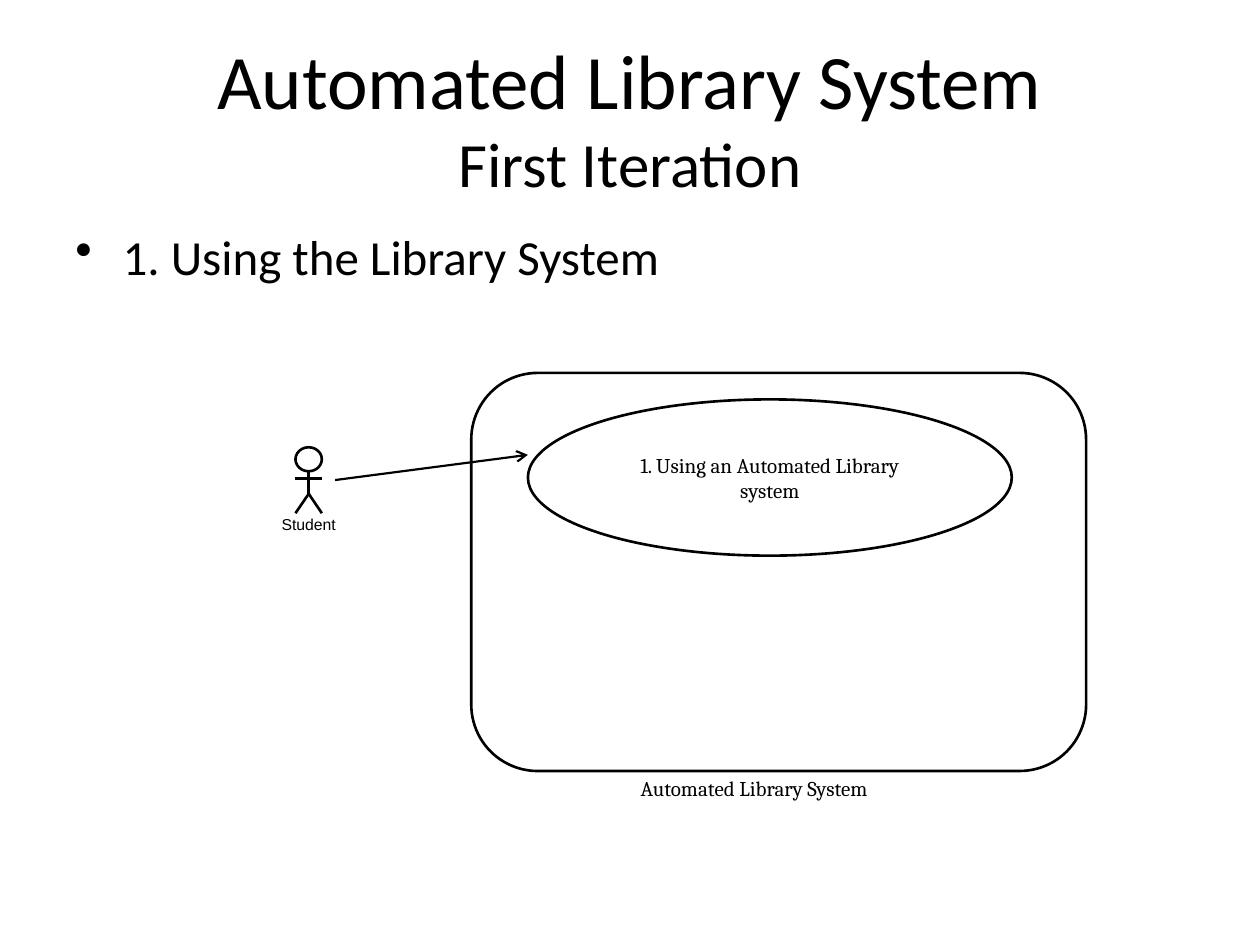
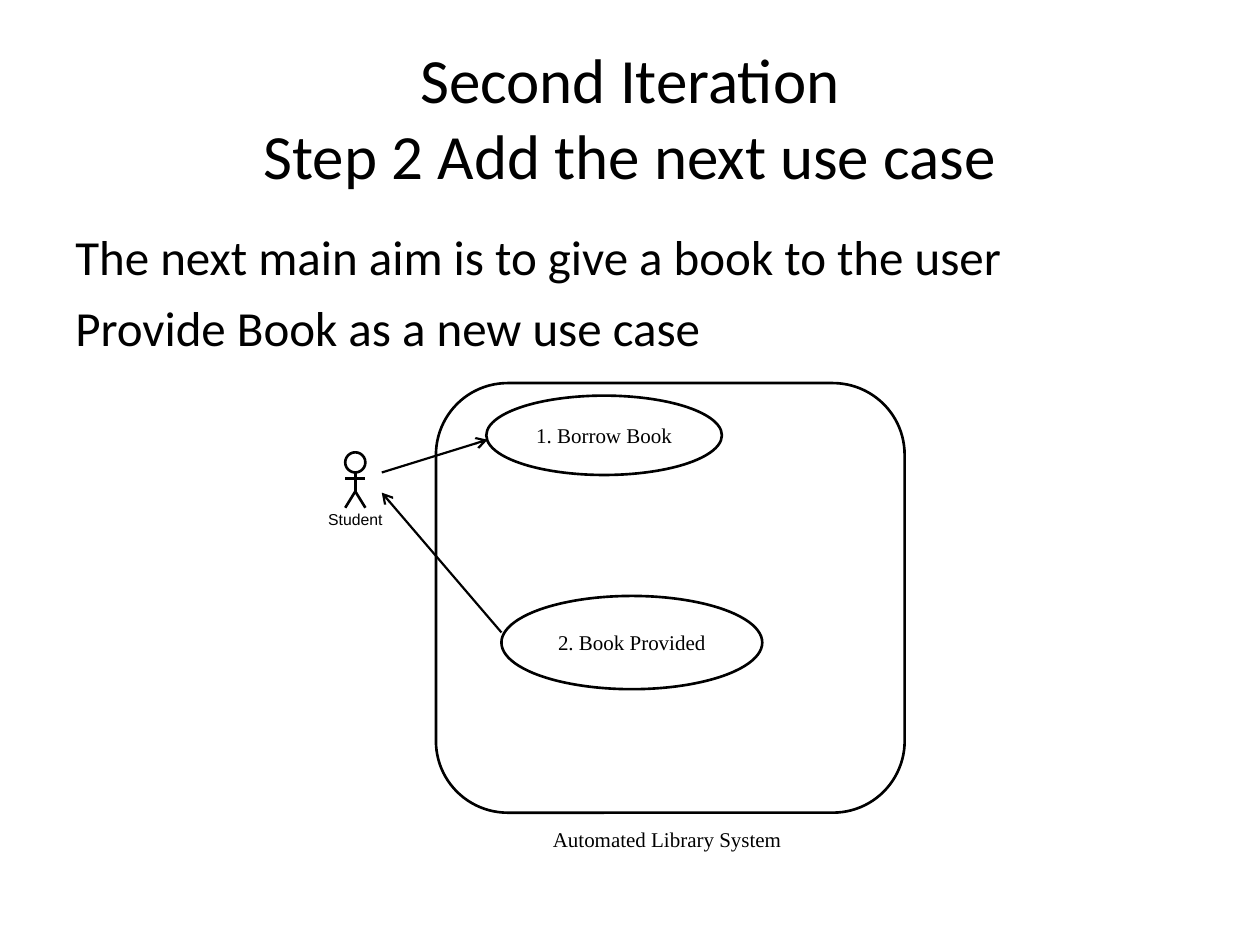
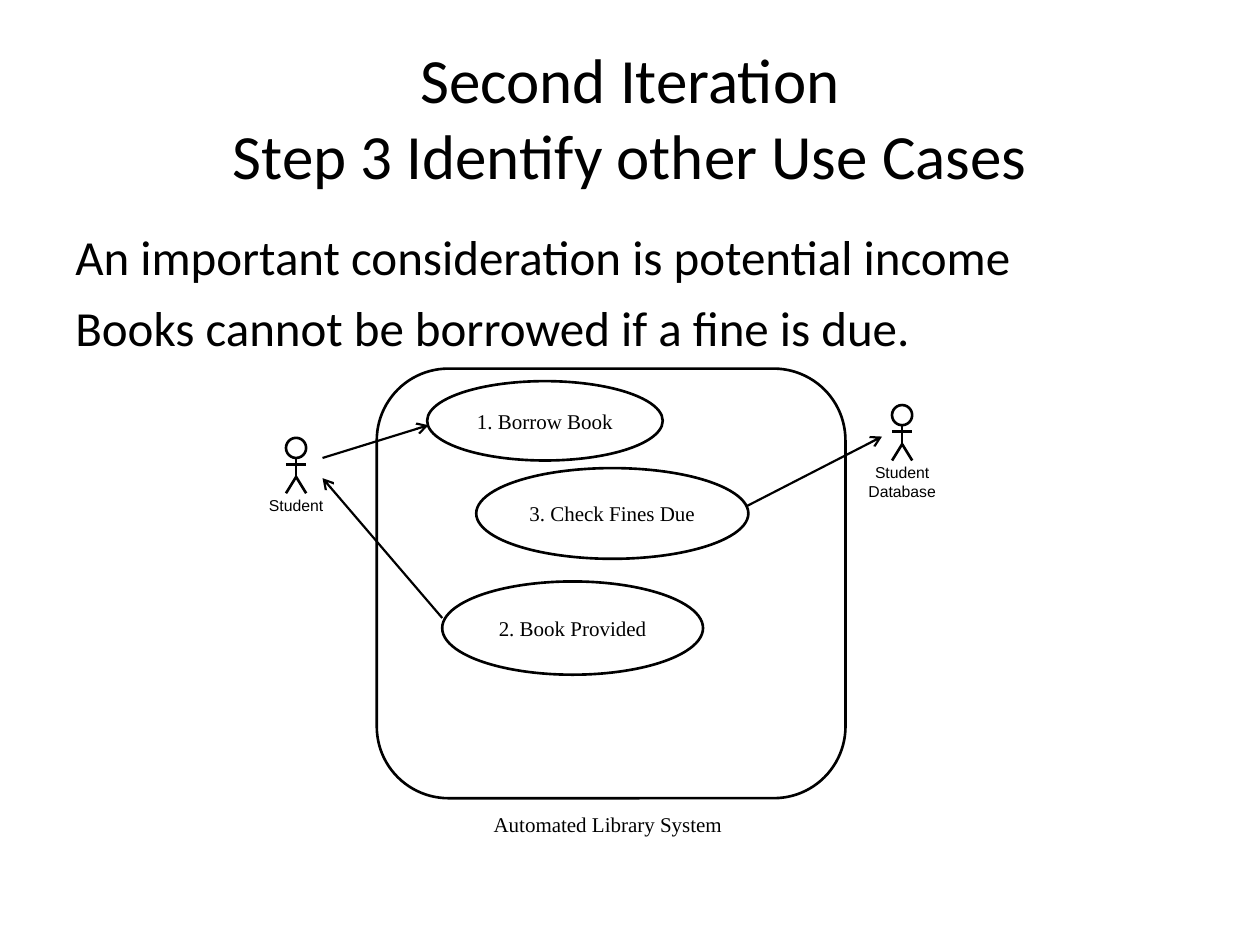
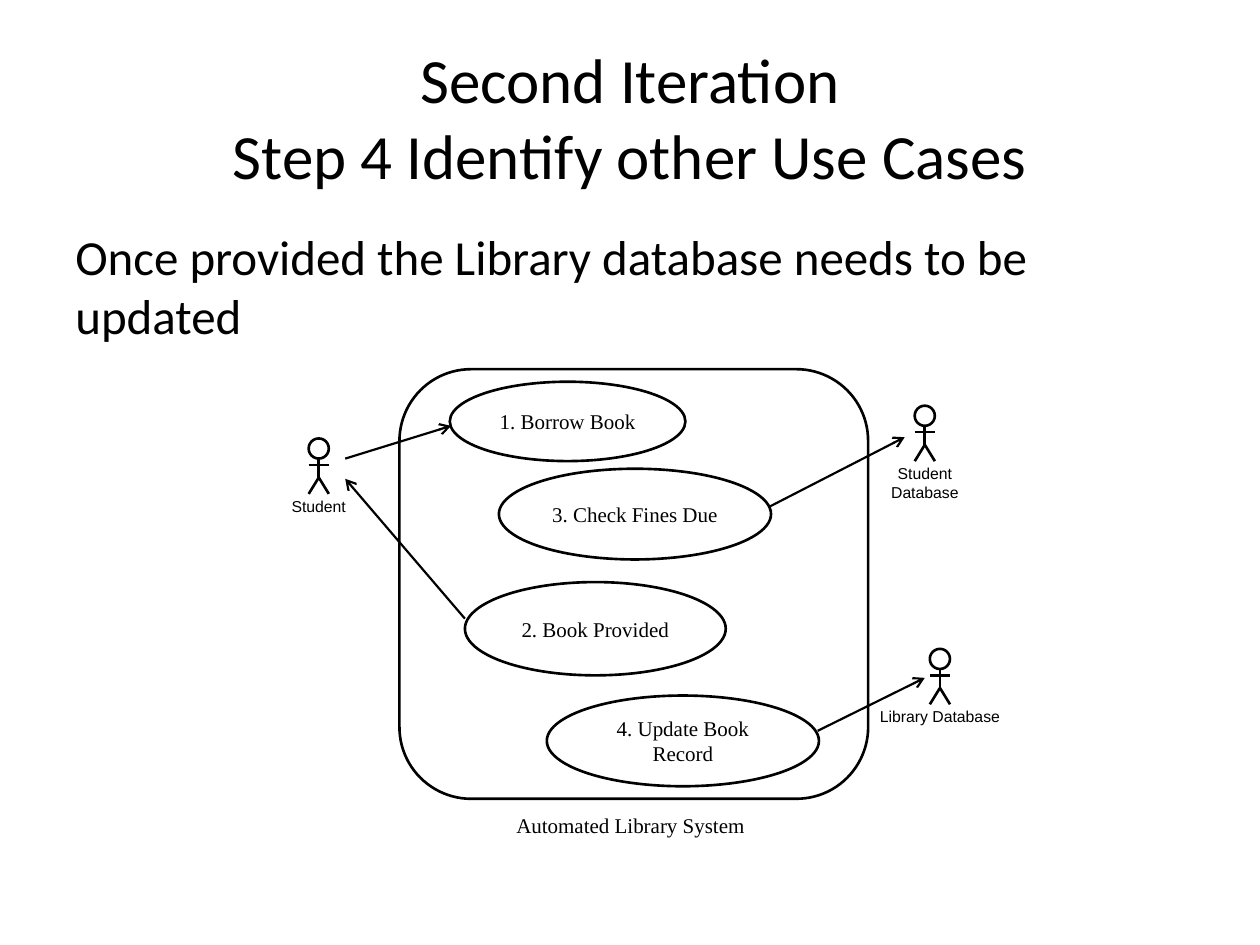
from dataclasses import dataclass
from typing import NamedTuple

from lxml import etree
from pptx import Presentation
from pptx import util as u
from pptx.dml.color import RGBColor
from pptx.enum import shapes, text
from pptx.oxml import ns

COLUMNS, ROWS = 100, 75
SLIDE_WIDTH, SLIDE_HEIGHT = u.Inches(10), u.Inches(7.5)


@dataclass(frozen=True)
class Theme:
    ink: RGBColor = RGBColor(0, 0, 0)
    heading_font: str = "Calibri"
    actor_font: str = "Arial"
    title_size: float = 44
    subtitle_size: float = 36
    body_size: float = 28
    diagram_size: float = 12
    actor_size: float = 9
    outline: float = 1.5
    flow: float = 1.25
    body_gap: float = 7
    bullet_indent: float = 3.75
    corner: float = 0.167


THEME = Theme()


class Point(NamedTuple):
    column: float
    row: float

    def shifted(self, columns: float, rows: float) -> "Point":
        return Point(self.column + columns, self.row + rows)


class Area(NamedTuple):
    column: float
    row: float
    columns: float
    rows: float

    def shifted(self, origin: Point) -> "Area":
        return self._replace(column=self.column + origin.column, row=self.row + origin.row)


@dataclass(frozen=True)
class UseCase:
    label: str
    area: Area


@dataclass(frozen=True)
class Actor:
    """A stick figure whose head is centred below the point `top`."""
    label: str
    top: Point
    label_rows: float = 2.5
    stretch_x: float = 1
    stretch_y: float = 1


@dataclass(frozen=True)
class Flow:
    start: Point
    end: Point


@dataclass(frozen=True)
class Diagram:
    """Members are placed relative to the system boundary's top left corner."""
    origin: Point
    boundary: Area
    caption: Area
    font: str
    members: tuple[UseCase | Actor | Flow, ...]


@dataclass(frozen=True)
class Page:
    title: str
    title_sizes: tuple[float, float]
    body: tuple[str, ...]
    diagram: Diagram
    bulleted: bool = False


TITLE_AREA = Area(5, 3, 90, 12.5)
BODY_AREA = Area(5, 17.5, 90, 49.5)
SYSTEM_NAME = "Automated Library System"
STEP_SIZES = (THEME.subtitle_size, THEME.subtitle_size)

BORROW = (
    UseCase("1. Borrow Book", Area(4, 1, 18.7, 6.3)),
    Actor("Student", Point(-6.4, 5.5)),
    Flow(Point(-4.3, 7.1), Point(4.1, 4.5)),
)
PROVIDE = (
    UseCase("2. Book Provided", Area(5.2, 16.9, 20.7, 7.4)),
    Flow(Point(5.2, 19.8), Point(-4.3, 8.7)),
)
CHECK_FINES = (
    UseCase("3. Check Fines Due", Area(7.9, 7.9, 21.6, 7.2)),
    Actor("Student Database", Point(41.7, 2.9), label_rows=4),
    Flow(Point(29.4, 10.9), Point(40.1, 5.4)),
)
UPDATE_RECORD = (
    UseCase("4. Update Book Record", Area(11.7, 25.9, 21.6, 7.2)),
    Actor("Library Database", Point(42.9, 22.2)),
    Flow(Point(33.2, 28.7), Point(41.7, 24.5)),
)


def second_iteration(origin: Point, *steps: tuple) -> Diagram:
    return Diagram(origin, Area(0, 0, 37.2, 34.1), Area(5.8, 34.7, 25.1, 5.3),
                   "Times New Roman", sum(steps, ()))


PAGES = (
    Page(
        "Automated Library System\nFirst Iteration",
        (THEME.title_size, THEME.subtitle_size),
        ("1. Using the Library System",),
        Diagram(
            Point(37.4, 29.6), Area(0, 0, 48.8, 31.6), Area(6, 31.5, 32.9, 3), "Cambria",
            (
                UseCase("1. Using an Automated Library system", Area(4.5, 2.1, 38.4, 12.4)),
                Actor("Student", Point(-12.9, 5.9), stretch_x=1.31, stretch_y=1.19),
                Flow(Point(-10.8, 8.5), Point(4.5, 6.5)),
            ),
        ),
        bulleted=True,
    ),
    Page(
        "Second Iteration\nStep 2 Add the next use case", STEP_SIZES,
        ("The next main aim is to give a book to the user", "Provide Book as a new use case"),
        second_iteration(Point(34.6, 30.4), BORROW, PROVIDE),
    ),
    Page(
        "Second Iteration\nStep 3 Identify other Use Cases", STEP_SIZES,
        ("An important consideration is potential income",
         "Books cannot be borrowed if a fine is due."),
        second_iteration(Point(29.9, 29.25), CHECK_FINES, BORROW, PROVIDE),
    ),
    Page(
        "Second Iteration\nStep 4 Identify other Use Cases", STEP_SIZES,
        ("Once provided the Library database needs to be updated",),
        second_iteration(Point(31.7, 29.3), CHECK_FINES, BORROW, PROVIDE, UPDATE_RECORD),
    ),
)


def across(columns: float) -> int:
    return round(SLIDE_WIDTH * columns / COLUMNS)


def down(rows: float) -> int:
    return round(SLIDE_HEIGHT * rows / ROWS)


def frame(area: Area) -> tuple[int, int, int, int]:
    return across(area.column), down(area.row), across(area.columns), down(area.rows)


def style_para(para, font: str, size: float, align=text.PP_ALIGN.CENTER) -> None:
    para.alignment = align
    for span in para.runs:
        span.font.name = font
        span.font.size = u.Pt(size)
        span.font.color.rgb = THEME.ink


def add_text(slide, area: Area, words: str, font: str, size: float,
             anchor=text.MSO_ANCHOR.TOP):
    box = slide.shapes.add_textbox(*frame(area))
    box.text_frame.word_wrap = True
    box.text_frame.vertical_anchor = anchor
    para = box.text_frame.paragraphs[0]
    para.text = words
    style_para(para, font, size)
    return box


def add_title(slide, page: Page) -> None:
    box = add_text(slide, TITLE_AREA, page.title, THEME.heading_font,
                   THEME.subtitle_size, text.MSO_ANCHOR.MIDDLE)
    for span, size in zip(box.text_frame.paragraphs[0].runs, page.title_sizes):
        span.font.size = u.Pt(size)


def add_bullet(para) -> None:
    properties = para._p.get_or_add_pPr()
    indent = across(THEME.bullet_indent)
    properties.set("marL", str(indent))
    properties.set("indent", str(-indent))
    etree.SubElement(properties, ns.qn("a:buChar"), char="•")


def add_body(slide, page: Page) -> None:
    box = slide.shapes.add_textbox(*frame(BODY_AREA))
    box.text_frame.word_wrap = True
    box.text_frame.text = "\n".join(page.body)
    for para in box.text_frame.paragraphs:
        style_para(para, THEME.heading_font, THEME.body_size, text.PP_ALIGN.LEFT)
        para.space_before = u.Pt(THEME.body_gap)
        if page.bulleted:
            add_bullet(para)


def add_outline(slide, kind: shapes.MSO_SHAPE, area: Area):
    shape = slide.shapes.add_shape(kind, *frame(area))
    shape.shadow.inherit = False
    shape.fill.background()
    shape.line.color.rgb = THEME.ink
    shape.line.width = u.Pt(THEME.outline)
    return shape


def add_line(slide, start: Point, end: Point, width: float, arrow: bool = False) -> None:
    line = slide.shapes.add_connector(
        shapes.MSO_CONNECTOR.STRAIGHT,
        across(start.column), down(start.row), across(end.column), down(end.row))
    line.line.color.rgb = THEME.ink
    line.line.width = u.Pt(width)
    properties = line.element.spPr
    if arrow:
        etree.SubElement(properties.get_or_add_ln(), ns.qn("a:tailEnd"), type="arrow")
    etree.SubElement(properties, ns.qn("a:effectLst"))


def add_use_case(slide, case: UseCase, origin: Point, font: str) -> None:
    oval = add_outline(slide, shapes.MSO_SHAPE.OVAL, case.area.shifted(origin))
    oval.text_frame.word_wrap = True
    oval.text_frame.vertical_anchor = text.MSO_ANCHOR.MIDDLE
    oval.text_frame.text = case.label
    style_para(oval.text_frame.paragraphs[0], font, THEME.diagram_size)


def add_actor(slide, actor: Actor, origin: Point) -> None:
    top = actor.top.shifted(*origin)

    def joint(columns: float, rows: float) -> Point:
        return top.shifted(columns * actor.stretch_x, rows * actor.stretch_y)

    add_outline(slide, shapes.MSO_SHAPE.OVAL,
                Area(*joint(-0.8, 0), 1.6 * actor.stretch_x, 1.6 * actor.stretch_y))
    hip = joint(0, 3.1)
    limbs = (
        (joint(0, 1.6), joint(0, 3.2)),
        (hip, joint(-0.8, 4.4)),
        (hip, joint(0.8, 4.4)),
        (joint(-0.8, 2.1), joint(0.8, 2.1)),
    )
    for start, end in limbs:
        add_line(slide, start, end, THEME.outline)
    add_text(slide, Area(*joint(-5.85, 4.1), 11.7 * actor.stretch_x, actor.label_rows),
             actor.label, THEME.actor_font, THEME.actor_size)


def add_diagram(slide, diagram: Diagram) -> None:
    origin = diagram.origin
    boundary = add_outline(slide, shapes.MSO_SHAPE.ROUNDED_RECTANGLE,
                           diagram.boundary.shifted(origin))
    boundary.adjustments[0] = THEME.corner
    add_text(slide, diagram.caption.shifted(origin), SYSTEM_NAME, diagram.font,
             THEME.diagram_size)
    for member in diagram.members:
        if isinstance(member, UseCase):
            add_use_case(slide, member, origin, diagram.font)
        elif isinstance(member, Actor):
            add_actor(slide, member, origin)
        else:
            add_line(slide, member.start.shifted(*origin), member.end.shifted(*origin),
                     THEME.flow, arrow=True)


def main() -> None:
    deck = Presentation()
    deck.slide_width, deck.slide_height = SLIDE_WIDTH, SLIDE_HEIGHT
    blank = deck.slide_layouts[6]
    for page in PAGES:
        slide = deck.slides.add_slide(blank)
        add_title(slide, page)
        add_body(slide, page)
        add_diagram(slide, page.diagram)
    deck.save("out.pptx")


if __name__ == "__main__":
    main()
